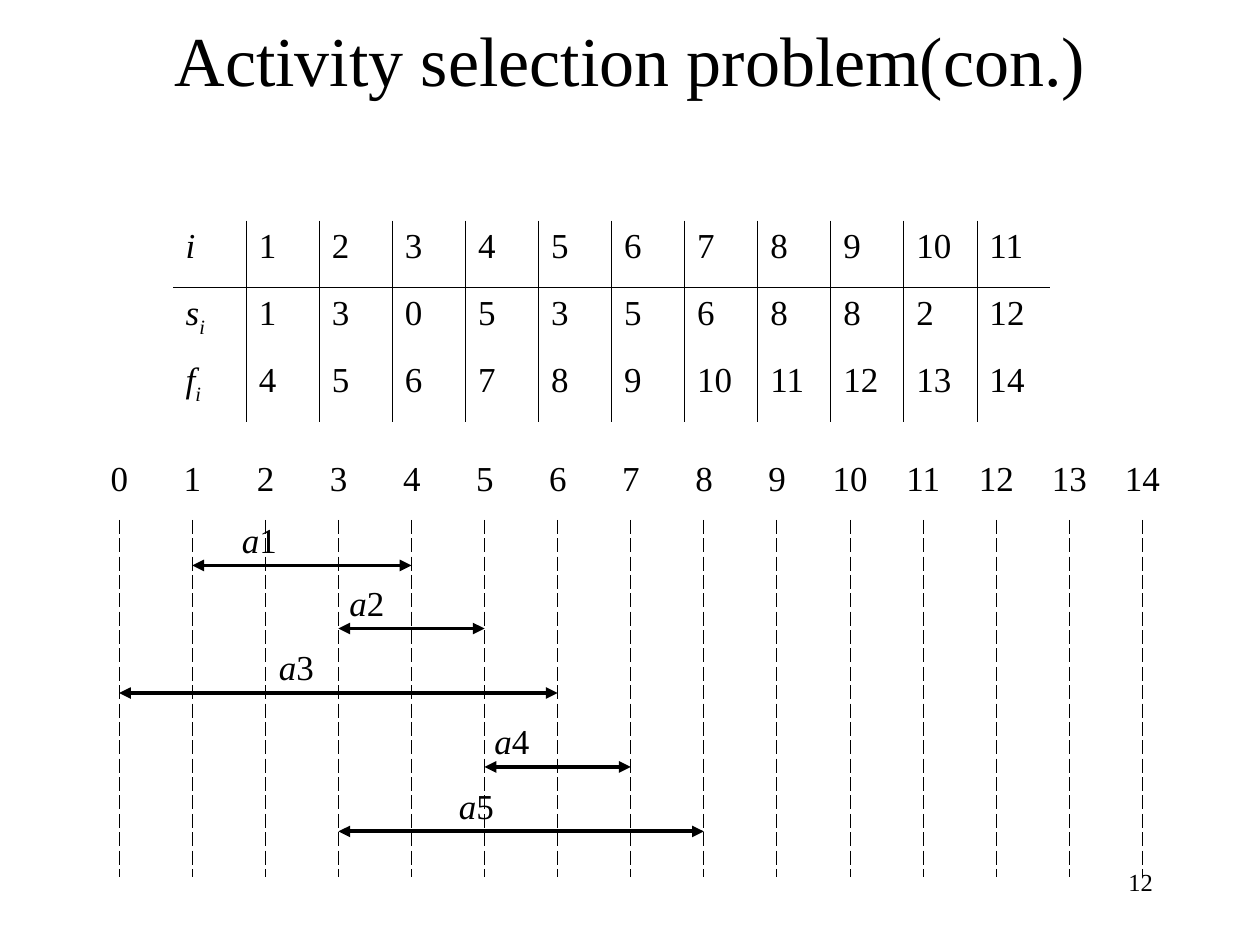
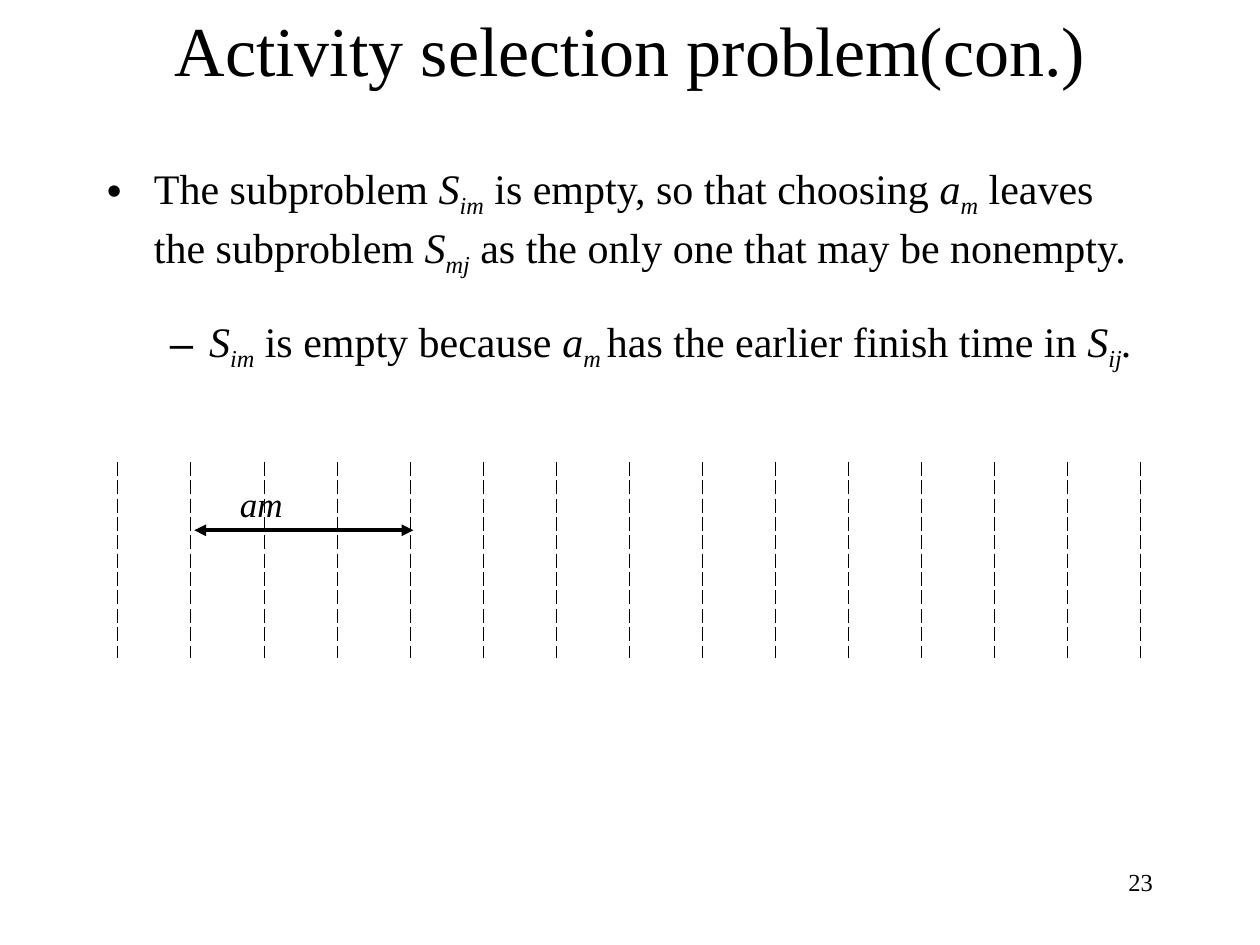
from lxml import etree
from pptx import Presentation
from pptx.dml.color import RGBColor
from pptx.enum import shapes, text
from pptx.oxml import ns
from pptx.util import Cm, Pt

BLACK = RGBColor(0, 0, 0)
FONT = "Times New Roman"
TITLE = "Activity selection problem(con.)"
STEP = Cm(23.57) // 16  # one time unit, and one table column
STARTS = [1, 3, 0, 5, 3, 5, 6, 8, 8, 2, 12]
ENDS = [4, 5, 6, 7, 8, 9, 10, 11, 12, 13, 14]


# Text and XML helpers
def sub(parent, tag, **attrs):
    return etree.SubElement(parent, ns.qn(tag), attrs)


def write(par, runs, size=20, align=None, space=None, lead=None):
    """Runs are a string or (text, style) pairs: i italic, s italic subscript."""
    if align is not None:
        par.alignment = align
    if space is not None:
        par.space_before = Pt(space)
    if lead:
        par.line_spacing = lead
    for words, style in [(runs, "")] if isinstance(runs, str) else runs:
        run = par.add_run()
        run.text = words
        font = run.font
        font.name, font.size = FONT, Pt(size)
        font.color.rgb = BLACK
        font.italic = style != ""
        if style == "s":
            font._element.set("baseline", "-25000")


def label(slide, box, runs, **form):
    frame = slide.shapes.add_textbox(*box).text_frame
    frame.word_wrap = True
    write(frame.paragraphs[0], runs, **form)


# Shared slide parts
def start(deck, layout, top, number):
    slide = deck.slides.add_slide(deck.slide_layouts[layout])
    title = slide.shapes.title
    title.left, title.top, title.width, title.height = Cm(1.27), top, Cm(22.86), Cm(2.41)
    title.text_frame.vertical_anchor = text.MSO_ANCHOR.TOP
    write(title.text_frame.paragraphs[0], TITLE, size=40, align=text.PP_ALIGN.CENTER)
    label(slide, (Cm(18.21), Cm(17.35), Cm(5.28), Cm(1.27)), number,
          size=14, align=text.PP_ALIGN.RIGHT)
    return slide


# Tables
def rule(cell, sides, dash):
    """Draw the named sides of a cell and clear the others."""
    cell.fill.background()
    props = cell._tc.get_or_add_tcPr()
    for spot, side in enumerate("LRTB"):
        line = sub(props, "a:ln" + side, w="5715")
        if side in sides:
            fill = sub(line, "a:solidFill")
            sub(fill, "a:srgbClr", val=str(BLACK))
            sub(line, "a:prstDash", val=dash)
        else:
            sub(line, "a:noFill")
        props.insert(spot, line)


def table(slide, left, top, cols, heights):
    shape = slide.shapes.add_table(len(heights), cols, left, top, STEP * cols, sum(heights))
    grid = shape.table
    grid.first_row = grid.horz_banding = False
    for col in grid.columns:
        col.width = STEP
    for row, height in zip(grid.rows, heights):
        row.height = height
    return grid


def times(slide, left, top):
    """Start and finish times of the activities."""
    rows = [[[("i", "i")], *range(1, 12)],
            [[("s", "i"), ("i", "s")], *STARTS],
            [[("f", "i"), ("i", "s")], *ENDS]]
    grid = table(slide, left, top, 12, [Cm(1.35)] * 3)
    for r, row in enumerate(rows):
        for c, value in enumerate(row):
            cell = grid.cell(r, c)
            write(cell.text_frame.paragraphs[0],
                  str(value) if isinstance(value, int) else value)
            sides = ("L" if c else "") + ("R" if c < 11 else "")
            rule(cell, sides + ["B", "T", ""][r], "solid")


def scale(slide, left, top, head, rows, height, marks=()):
    """Dashed time lines under a merged heading row."""
    grid = table(slide, left, top, 16, [head] + [height] * rows)
    first = grid.cell(0, 0)
    first.merge(grid.cell(0, 15))
    for r in range(rows + 1):
        for c in range(16):
            sides = ("L" if c else "") + ("R" if c < 15 else "")
            rule(grid.cell(r, c), sides if r else "", "dash")
    if marks:
        par = first.text_frame.paragraphs[0]
        tabs = sub(par._p.get_or_add_pPr(), "a:tabLst")
        for mark in marks:
            sub(tabs, "a:tab", pos=str(STEP * (mark + 1) - Cm(0.25)), algn="ctr")
        write(par, "".join(f"\t{mark}" for mark in marks))


def span(slide, left, top, begin, end, shift, name):
    """Double arrow between two times, with its name above."""
    x = left + STEP * (begin + 1)
    arrow = slide.shapes.add_connector(shapes.MSO_CONNECTOR.STRAIGHT, x, top,
                                       left + STEP * (end + 1), top)
    arrow.line.color.rgb = BLACK
    arrow.line.width = Pt(2.25)
    line = arrow.line._get_or_add_ln()
    sub(line, "a:headEnd", type="triangle")
    sub(line, "a:tailEnd", type="triangle")
    sub(arrow._element.spPr, "a:effectLst")
    label(slide, (x + shift, top - Cm(1.08), Cm(3.12), Cm(1.11)), name)


# Bulleted list
def points(slide, left, top, width, height):
    body = slide.placeholders[1]
    body.left, body.top, body.width, body.height = left, top, width, height
    frame = body.text_frame
    frame.auto_size = text.MSO_AUTO_SIZE.NONE
    items = [
        ("•", 0, Cm(0.95), Cm(-0.95), 0,
         [("The subproblem ", ""), ("S", "i"), ("im", "s"),
          (" is empty, so that choosing ", ""), ("a", "i"), ("m", "s"),
          (" leaves the subproblem ", ""), ("S", "i"), ("mj", "s"),
          (" as the only one that may be nonempty.", "")]),
        ("–", 1, Cm(2.06), Cm(-0.79), 20,
         [("S", "i"), ("im", "s"), (" is empty because ", ""), ("a", "i"), ("m ", "s"),
          ("has the earlier finish time in ", ""), ("S", "i"), ("ij", "s"), (".", "i")]),
    ]
    for n, (mark, level, margin, indent, space, runs) in enumerate(items):
        par = frame.add_paragraph() if n else frame.paragraphs[0]
        par.level = level
        props = par._p.get_or_add_pPr()
        props.set("marL", str(margin))
        props.set("indent", str(indent))
        sub(props, "a:buChar", char=mark)
        write(par, runs, size=24, space=space, lead=1.03)


# Slides
def chart(deck):
    slide = start(deck, 5, Cm(0.2), "12")
    times(slide, Cm(3.49), Cm(4.45))
    left, top = Cm(0.93), Cm(9.14)
    scale(slide, left, top, Cm(1.34), 5, Cm(1.44), range(15))
    drops = [2.26, 3.53, 4.83, 6.32, 7.62]
    shifts = [0.75, -0.03, 2.97, -0.05, 2.18]
    for n, (begin, end, drop, shift) in enumerate(zip(STARTS, ENDS, drops, shifts), 1):
        span(slide, left, top + Cm(drop), begin, end, Cm(shift), [("a", "i"), (str(n), "")])


def proof(deck):
    slide = start(deck, 1, 0, "23")
    points(slide, Cm(1.9), Cm(3.11), Cm(21.59), Cm(11.43))
    left, top = Cm(0.9), Cm(8.2)
    scale(slide, left, top, Cm(1.11), 3, Cm(1.32))
    span(slide, left + Cm(0.07), top + Cm(2.49), 1, 4, Cm(0.67), [("am", "i")])


def main():
    deck = Presentation()
    deck.slide_width, deck.slide_height = Cm(25.4), Cm(19.05)
    chart(deck)
    proof(deck)
    deck.save("out.pptx")


if __name__ == "__main__":
    main()
